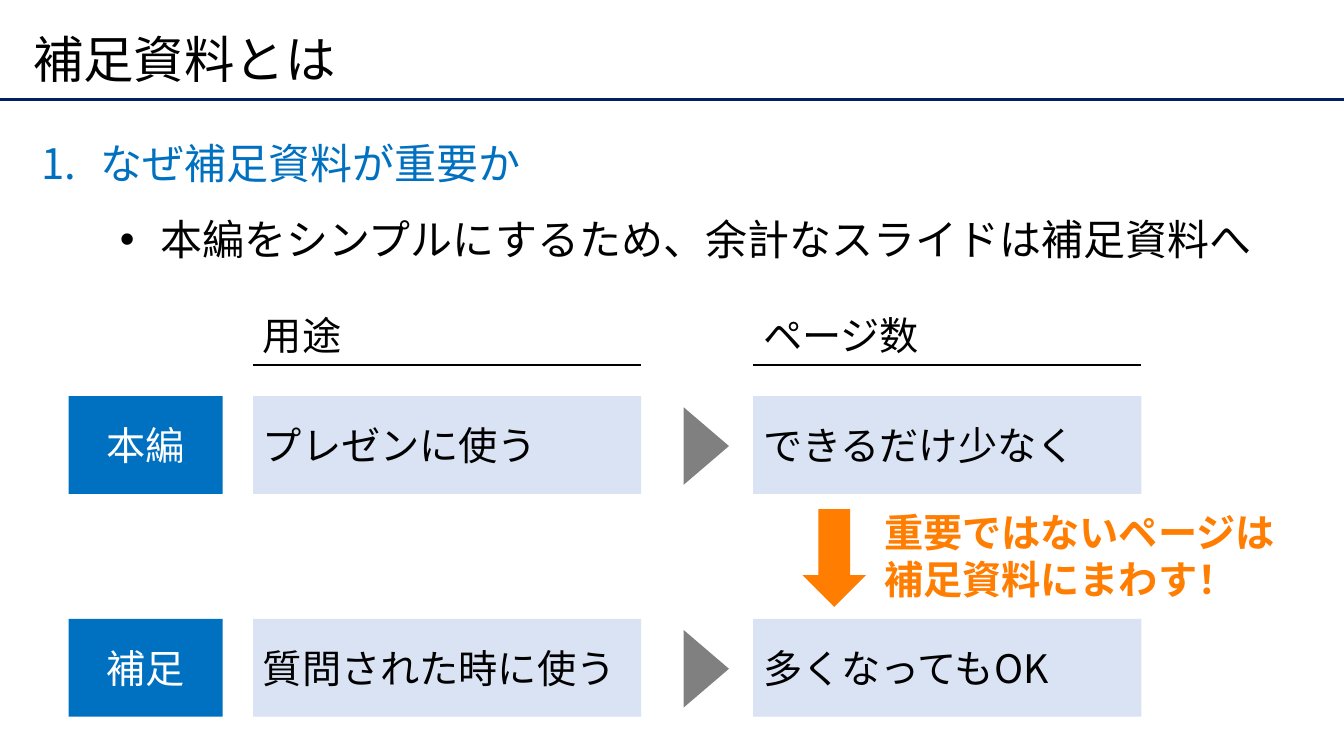
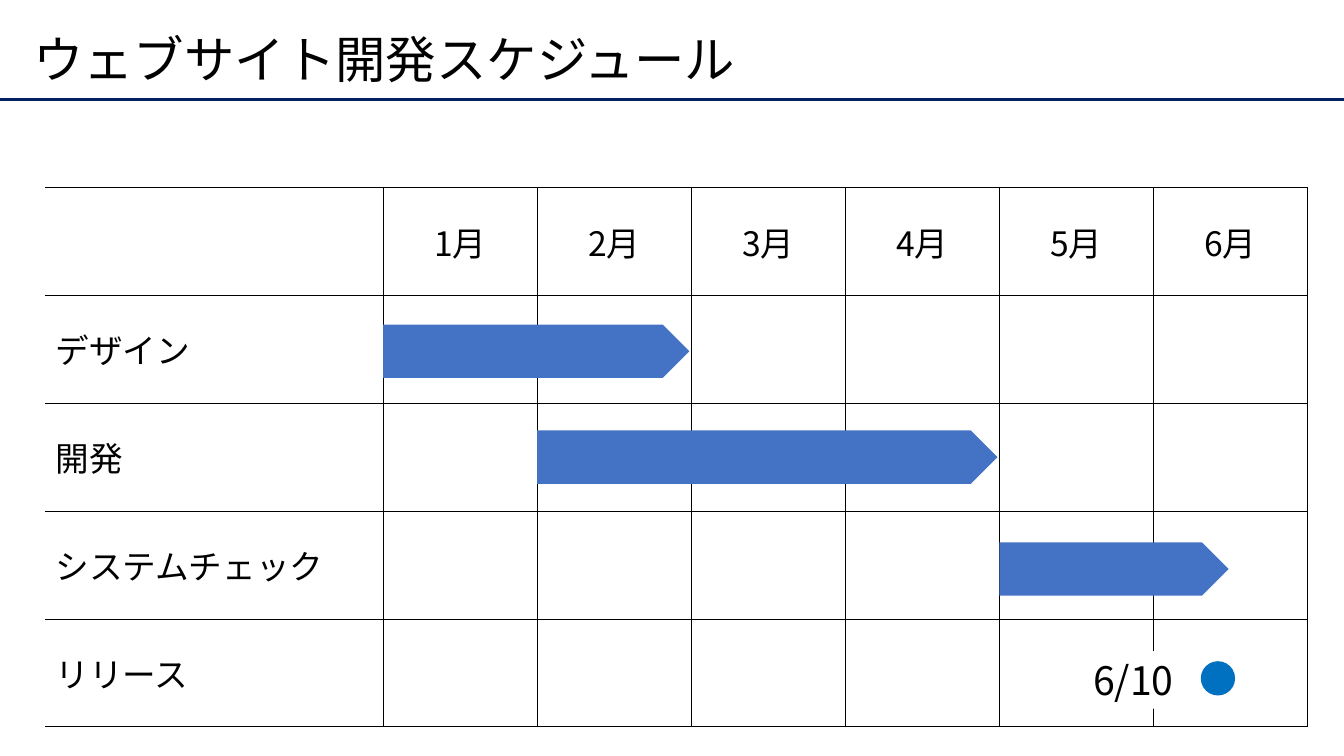
from typing import NamedTuple

from lxml.etree import SubElement
from pptx import Presentation
from pptx.dml.color import RGBColor
from pptx.enum.shapes import MSO_CONNECTOR as Link, MSO_SHAPE as Kind
from pptx.enum.text import MSO_ANCHOR as Anchor, PP_ALIGN as Align
from pptx.oxml.ns import qn
from pptx.util import Inches, Pt

FONT = "Noto Sans CJK JP"
BLACK = RGBColor(0x00, 0x00, 0x00)
WHITE = RGBColor(0xFF, 0xFF, 0xFF)
NAVY = RGBColor(0x00, 0x20, 0x60)
BLUE = RGBColor(0x00, 0x70, 0xC0)
STEEL = RGBColor(0x44, 0x72, 0xC4)
PALE = RGBColor(0xDA, 0xE3, 0xF3)
GREY = RGBColor(0x80, 0x80, 0x80)
ORANGE = RGBColor(0xFF, 0x7D, 0x00)

WIDE, HIGH = 13.33, 7.5
NO_STYLE = "{2D5ABB26-0587-4C30-8999-92F81FD0307C}"


class Box(NamedTuple):
    left: float
    top: float
    width: float
    height: float

    def emu(self) -> list:
        return [Inches(n) for n in self]


class Column(NamedTuple):
    left: float
    head: str
    cells: tuple


class Bar(NamedTuple):
    """A task's first month, its length in months and its top edge."""
    start: int
    months: float
    top: float


def write(frame, *lines: str, size: float = 28, color: RGBColor = BLACK,
          bold: bool = False, align=Align.LEFT, anchor=Anchor.TOP,
          spacing: float = 1) -> None:
    frame.word_wrap = True
    frame.vertical_anchor = anchor
    for i, line in enumerate(lines):
        para = frame.paragraphs[0] if i == 0 else frame.add_paragraph()
        para.alignment = align
        para.line_spacing = spacing
        run = para.add_run()
        run.text = line
        font = run.font
        font.size, font.bold, font.name = Pt(size), bold, FONT
        font.color.rgb = color
        SubElement(font._element, qn("a:ea"), typeface=FONT)


def label(slide, box: Box, *lines: str, **style):
    area = slide.shapes.add_textbox(*box.emu())
    write(area.text_frame, *lines, **style)
    return area


def shape(slide, kind, box: Box, fill: RGBColor, *lines: str, **style):
    item = slide.shapes.add_shape(kind, *box.emu())
    item.shadow.inherit = False
    item.fill.solid()
    item.fill.fore_color.rgb = fill
    item.line.fill.background()
    if lines:
        write(item.text_frame, *lines, **style)
    return item


def rule(slide, left: float, right: float, top: float,
         color: RGBColor, weight: float) -> None:
    """Draw a level line without a shadow."""
    line = slide.shapes.add_connector(
        Link.STRAIGHT, Inches(left), Inches(top), Inches(right), Inches(top))
    line.line.color.rgb = color
    line.line.width = Pt(weight)
    SubElement(line._element.spPr, qn("a:effectLst"))


def bullet(para, left: float, hang: float, tag: str, **mark: str) -> None:
    props = para._p.get_or_add_pPr()
    props.set("marL", str(Inches(left)))
    props.set("indent", str(-Inches(hang)))
    if tag == "a:buChar":
        SubElement(props, qn("a:buFont"), typeface="Arial")
    SubElement(props, qn(tag), **mark)


def edge(cell, side: str, weight: float) -> None:
    """Set one cell border; side is L, R, T or B, and weight 0 hides it."""
    props = cell._tc.get_or_add_tcPr()
    line = SubElement(props, qn(f"a:ln{side}"), w=str(Pt(weight)))
    if weight:
        fill = SubElement(line, qn("a:solidFill"))
        SubElement(fill, qn("a:srgbClr"), val=str(BLACK))
    else:
        SubElement(line, qn("a:noFill"))


def start(deck, title: str):
    """Add a slide with the shared title and rule."""
    slide = deck.slides.add_slide(deck.slide_layouts[6])
    rule(slide, 0, WIDE, 0.99, NAVY, 2.25)
    label(slide, Box(0.23, 0.2, 12.6, 0.84), title,
          size=36, anchor=Anchor.MIDDLE, spacing=0.9)
    return slide


def outline(deck) -> None:
    slide = start(deck, "補足資料とは")
    body = label(slide, Box(0.31, 1.07, 12.52, 1.54),
                 "なぜ補足資料が重要か",
                 "本編をシンプルにするため、余計なスライドは補足資料へ",
                 size=30, spacing=1.5)
    first, second = body.text_frame.paragraphs
    first.runs[0].font.color.rgb = BLUE
    second.level = 1
    bullet(first, 0.59, 0.59, "a:buAutoNum", type="arabicPeriod")
    bullet(second, 1.18, 0.4, "a:buChar", char="•")

    rows = (3.93, 6.14)
    tall, broad = 0.97, 3.85
    columns = (
        Column(2.51, "用途", ("プレゼンに使う", "質問された時に使う")),
        Column(7.47, "ページ数", ("できるだけ少なく", "多くなってもOK")),
    )
    for top, name in zip(rows, ("本編", "補足")):
        shape(slide, Kind.RECTANGLE, Box(0.68, top, 1.53, tall), BLUE, name,
              color=WHITE, align=Align.CENTER, anchor=Anchor.MIDDLE)
        mark = shape(slide, Kind.ISOSCELES_TRIANGLE,
                     Box(6.62, top + 0.27, 0.77, 0.45), GREY)
        mark.rotation = 90
    for col in columns:
        rule(slide, col.left, col.left + broad, 3.62, BLACK, 1.5)
        label(slide, Box(col.left, 3.04, 1.79, 0.57), col.head)
        for top, text in zip(rows, col.cells):
            shape(slide, Kind.RECTANGLE, Box(col.left, top, broad, tall),
                  PALE, text, anchor=Anchor.MIDDLE)

    shape(slide, Kind.DOWN_ARROW, Box(7.96, 5.05, 0.63, tall), ORANGE)
    label(slide, Box(8.67, 4.99, 4.16, 1.04), "重要ではないページは",
          "補足資料にまわす！", color=ORANGE, bold=True)


def schedule(deck) -> None:
    slide = start(deck, "ウェブサイト開発スケジュール")
    area = Box(0.45, 1.86, 12.52, 5.35)
    heads = ("", *(f"{n}月" for n in range(1, 7)))
    tasks = ("", "デザイン", "開発", "システムチェック", "リリース")
    side = 3.35
    month = (area.width - side) / 6

    table = slide.shapes.add_table(len(tasks), len(heads), *area.emu()).table
    table.first_row = table.horz_banding = False
    table._tbl.tblPr.find(qn("a:tableStyleId")).text = NO_STYLE
    for c, col in enumerate(table.columns):
        col.width = Inches(month if c else side)
    for r, row in enumerate(table.rows):
        row.height = Inches(area.height / len(tasks))
        for c, cell in enumerate(row.cells):
            edge(cell, "L", 0.25 if c else 0)
            edge(cell, "R", 0.25)
            edge(cell, "T", 0.25 if r else 1)
            edge(cell, "B", 1 if r == len(tasks) - 1 else 0.25)
            cell.fill.background()
            cell.vertical_anchor = Anchor.MIDDLE
            text = heads[c] if r == 0 else tasks[r] if c == 0 else ""
            if text:
                write(cell.text_frame, text, size=24, anchor=Anchor.MIDDLE,
                      align=Align.LEFT if r else Align.CENTER)

    for bar in (Bar(0, 2, 3.22), Bar(1, 3, 4.27), Bar(4, 1.5, 5.38)):
        left = area.left + side + bar.start * month
        shape(slide, Kind.PENTAGON,
              Box(left, bar.top, bar.months * month - 0.02, 0.53), STEEL)
    shape(slide, Kind.OVAL, Box(11.91, 6.56, 0.34, 0.34), BLUE)
    shape(slide, Kind.RECTANGLE, Box(10.69, 6.46, 1.1, 0.57), WHITE, "6/10",
          align=Align.CENTER)


def main() -> None:
    deck = Presentation()
    deck.slide_width, deck.slide_height = Inches(WIDE), Inches(HIGH)
    outline(deck)
    schedule(deck)
    deck.save("out.pptx")


if __name__ == "__main__":
    main()
